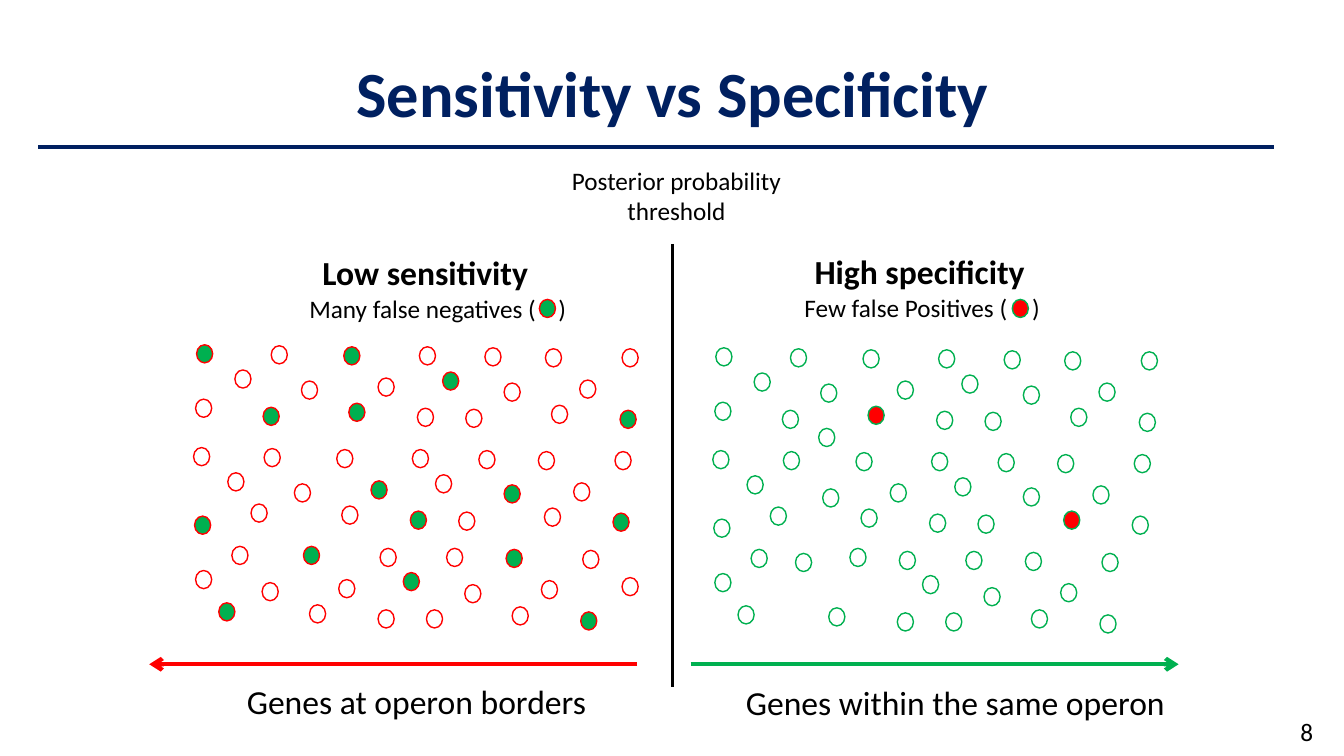
from lxml import etree
from pptx import Presentation
from pptx.dml.color import RGBColor
from pptx.enum.shapes import MSO_CONNECTOR, MSO_SHAPE
from pptx.enum.text import MSO_ANCHOR, PP_ALIGN
from pptx.oxml.ns import qn
from pptx.util import Inches, Pt

STRAIGHT = MSO_CONNECTOR.STRAIGHT
OVAL = MSO_SHAPE.OVAL
LEFT, CENTER = PP_ALIGN.LEFT, PP_ALIGN.CENTER
TOP, MIDDLE = MSO_ANCHOR.TOP, MSO_ANCHOR.MIDDLE

COLORS = {"navy": "002060", "red": "FF0000", "green": "00B050", "black": "000000"}
FONT = "Calibri"
DOT_W, DOT_H = 0.16, 0.18

# Gene positions; the right panel repeats the left one, shifted by PANEL_SHIFT
PANEL_SHIFT = (5.15, 0.03)
SHARED_GENES = [
    (1.95, 3.42), (2.69, 3.43), (3.41, 3.44), (4.16, 3.44), (4.81, 3.45), (5.41, 3.46),
    (6.17, 3.46), (2.33, 3.67), (2.99, 3.78), (3.75, 3.75), (4.39, 3.69), (5, 3.8),
    (5.75, 3.77), (1.94, 3.96), (2.61, 4.04), (3.46, 4), (4.14, 4.05), (4.62, 4.06),
    (5.47, 4.02), (6.15, 4.07), (1.92, 4.44), (2.62, 4.45), (3.34, 4.46), (4.09, 4.46),
    (4.75, 4.47), (5.34, 4.48), (6.1, 4.48), (2.26, 4.69), (3.68, 4.77), (4.32, 4.71),
    (5, 4.81), (5.69, 4.79), (1.93, 5.12), (2.49, 5), (3.39, 5.02), (4.07, 5.07),
    (4.55, 5.08), (5.4, 5.04), (6.08, 5.09), (2.3, 5.42), (3.77, 5.44), (4.43, 5.44),
    (5.02, 5.45), (5.78, 5.46), (1.94, 5.66), (4, 5.68), (4.61, 5.8), (5.37, 5.76),
    (2.17, 5.98), (3.07, 6), (3.75, 6.05), (4.23, 6.05), (5.08, 6.02), (5.76, 6.07),
]
BORDER_ONLY = [(2.92, 4.8), (2.6, 5.78), (3.36, 5.75), (3.01, 5.42), (6.17, 5.73)]
OPERON_ONLY = [(2.97, 4.22), (3.01, 4.82), (2.74, 5.46), (3.28, 5.41)]
FALSE_NEGATIVES = {
    (1.95, 3.42), (3.41, 3.44), (4.39, 3.69), (2.61, 4.04), (3.46, 4), (6.15, 4.07),
    (3.68, 4.77), (5, 4.81), (1.93, 5.12), (4.07, 5.07), (6.08, 5.09), (3.01, 5.42),
    (5.02, 5.45), (4, 5.68), (2.17, 5.98), (5.76, 6.07),
}
FALSE_POSITIVES = {(3.46, 4), (5.4, 5.04)}


def rgb(name):
    return RGBColor.from_string(COLORS[name])


def add_text(s, text, x, y, w, h, size=18, color="black", bold=False, align=LEFT,
             anchor=TOP, wrap=False, spacing=None, tab=None):
    """Add a one-paragraph text box; tab is a left tab stop in inches."""
    tf = s.shapes.add_textbox(Inches(x), Inches(y), Inches(w), Inches(h)).text_frame
    tf.word_wrap = wrap
    tf.vertical_anchor = anchor
    p = tf.paragraphs[0]
    p.alignment = align
    if spacing:
        p.line_spacing = spacing
    if tab:
        tabs = etree.SubElement(p._p.get_or_add_pPr(), qn("a:tabLst"))
        etree.SubElement(tabs, qn("a:tab"), pos=str(Inches(tab)), algn="l")
    r = p.add_run()
    r.text = text
    r.font.name = FONT
    r.font.size = Pt(size)
    r.font.bold = bold
    r.font.color.rgb = rgb(color)


def add_line(s, x1, y1, x2, y2, color, width, arrow=False):
    line = s.shapes.add_connector(STRAIGHT, Inches(x1), Inches(y1), Inches(x2), Inches(y2))
    line.line.color.rgb = rgb(color)
    line.line.width = Pt(width)
    if arrow:
        etree.SubElement(line.line._get_or_add_ln(), qn("a:tailEnd"), type="arrow")
    etree.SubElement(line._element.spPr, qn("a:effectLst"))


def add_gene(s, x, y, outline, fill=None):
    sp = s.shapes.add_shape(OVAL, Inches(x), Inches(y), Inches(DOT_W), Inches(DOT_H))
    sp.shadow.inherit = False
    sp.line.color.rgb = rgb(outline)
    sp.line.width = Pt(1)
    if fill:
        sp.fill.solid()
        sp.fill.fore_color.rgb = rgb(fill)
    else:
        sp.fill.background()


def add_gene_panel(s, genes, errors, outline, fill, shift=(0, 0)):
    """Scatter the genes, filling those classified wrongly."""
    dx, dy = shift
    for x, y in genes:
        add_gene(s, x + dx, y + dy, outline, fill if (x, y) in errors else None)


def main():
    prs = Presentation()
    prs.slide_width, prs.slide_height = Inches(13.33), Inches(7.5)
    s = prs.slides.add_slide(prs.slide_layouts[6])

    add_text(s, "Sensitivity vs Specificity", 0.92, 0.23, 11.5, 1.45, size=46, color="navy",
             bold=True, align=CENTER, anchor=MIDDLE, wrap=True, spacing=0.9)
    add_line(s, 0.38, 1.46, 12.64, 1.46, "navy", 3)
    add_text(s, "8", 12.8, 7.06, 0.33, 0.4)

    add_text(s, "Posterior probability threshold", 5.36, 1.59, 2.7, 0.71,
             align=CENTER, wrap=True)
    add_line(s, 6.67, 2.42, 6.67, 6.82, "black", 2.25)

    add_gene_panel(s, SHARED_GENES + BORDER_ONLY, FALSE_NEGATIVES, "red", "green")
    add_text(s, "Low sensitivity", 3.1, 2.45, 2.27, 0.5, size=24, bold=True)
    add_text(s, "Many false negatives (\t)", 2.97, 2.86, 2.84, 0.4, wrap=True, tab=2.47)
    add_gene(s, 5.35, 2.97, "red", "green")
    add_line(s, 6.32, 6.59, 1.48, 6.59, "red", 3, arrow=True)
    add_text(s, "Genes at operon borders", 2.35, 6.71, 3.6, 0.5, size=24)

    add_gene_panel(s, SHARED_GENES + OPERON_ONLY, FALSE_POSITIVES, "green", "red", PANEL_SHIFT)
    add_text(s, "High specificity", 7.98, 2.44, 2.31, 0.5, size=24, bold=True)
    add_text(s, "Few false Positives (\t)", 7.88, 2.85, 2.6, 0.4, wrap=True, tab=2.26)
    add_gene(s, 10.04, 2.97, "green", "red")
    add_line(s, 6.85, 6.59, 11.69, 6.59, "green", 3, arrow=True)
    add_text(s, "Genes within the same operon", 7.3, 6.72, 4.4, 0.5, size=24)

    prs.save("out.pptx")


if __name__ == "__main__":
    main()
